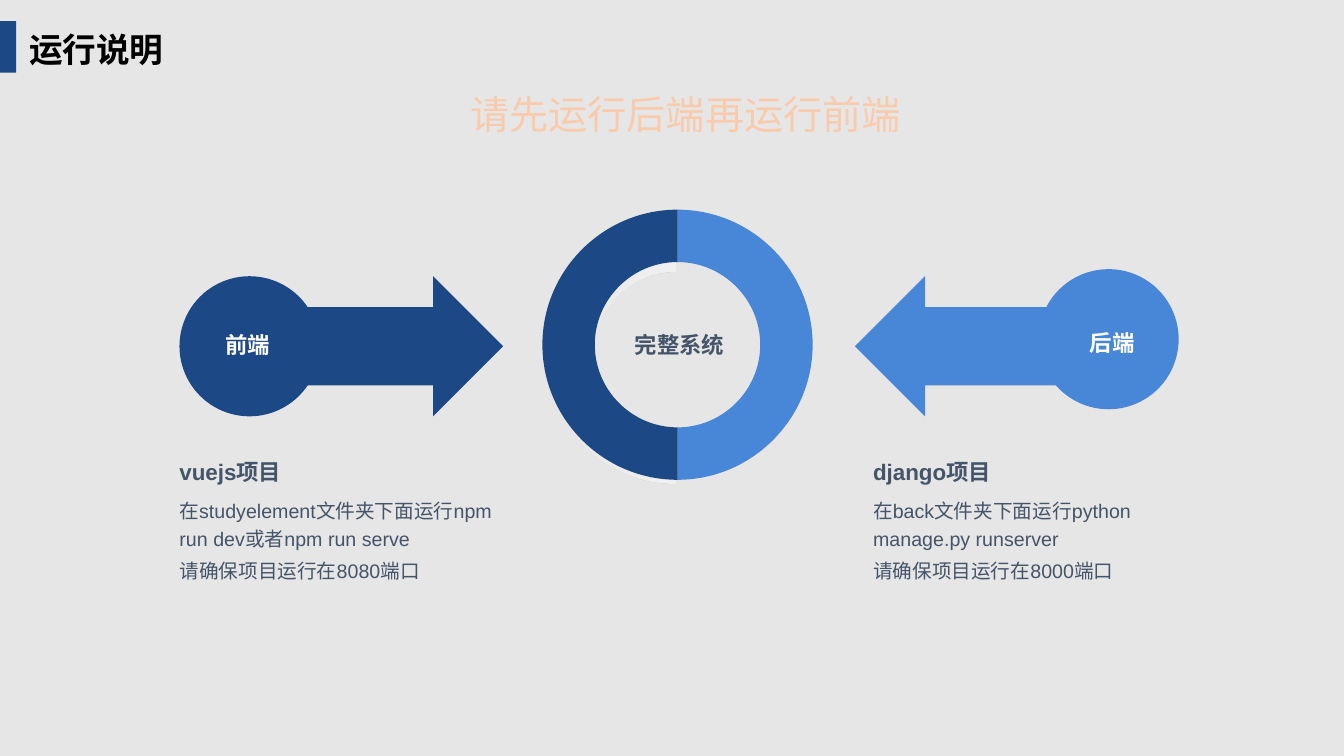
"""Build the slide that explains how to run the front end and the back end."""
from lxml.etree import SubElement
from pptx import Presentation
from pptx.dml.color import RGBColor
from pptx.enum.shapes import MSO_SHAPE as Preset
from pptx.enum.text import PP_ALIGN as Align
from pptx.oxml.ns import qn
from pptx.util import Inches, Pt

COLORS = {"background": "E7E6E6", "dark": "1C4885", "light": "4886D8", "peach": "F8CBAD",
          "slate": "445469", "white": "FFFFFF", "black": "000000"}
CJK, LATIN = "Noto Sans CJK SC", "Arial"
TITLE = "运行说明"
NOTICE = "请先运行后端再运行前端"
CENTER_LABEL = "完整系统"
PARTS = [
    {"label": "前端", "color": "dark", "text_left": 1.78, "label_at": (1.71, 3.29),
     "circle": (1.78, 2.74), "arrow": (3.04, 1.95), "flip": False,
     "heading": "vuejs项目",
     "steps": ["在studyelement文件夹下面运行npm run dev或者npm run serve", "请确保项目运行在8080端口"]},
    {"label": "后端", "color": "light", "text_left": 8.66, "label_at": (10.28, 3.27),
     "circle": (10.3, 2.67), "arrow": (8.48, 2.07), "flip": True,
     "heading": "django项目",
     "steps": ["在back文件夹下面运行python manage.py runserver", "请确保项目运行在8000端口"]},
]
RING_CENTER, RING_RADII = (6.72, 3.42), (1.34, 0.82)
GLOW_CENTER, GLOW_RADII = (6.7, 3.5), (1.3, 0.8)
GLOW_STOPS = [(0, 0), (50, 22), (100, 45)]
DIAMETER = 1.39
BEND = 0.55
HALF_ARC = [(0, -1), (BEND, -1), (1, -BEND), (1, 0), (1, BEND), (BEND, 1), (0, 1)]
CURVE_STARTS = (0, 3, 7, 10)


def paint(shape, color):
    shape.shadow.inherit = False
    shape.fill.solid()
    shape.fill.fore_color.rgb = RGBColor.from_string(COLORS[color])
    shape.line.fill.background()


def add_preset(slide, preset, box, color):
    shape = slide.shapes.add_shape(preset, *map(Inches, box))
    paint(shape, color)
    return shape


def add_text(slide, box, lines, size, color, font=LATIN, bold=False, align=Align.LEFT,
             inset=(0, 0), spacing=None):
    frame = slide.shapes.add_textbox(*map(Inches, box)).text_frame
    frame.word_wrap = True
    frame.margin_left = frame.margin_right = Inches(inset[0])
    frame.margin_top = frame.margin_bottom = Inches(inset[1])
    frame.text = "\n".join(lines)
    for index, paragraph in enumerate(frame.paragraphs):
        paragraph.alignment = align
        paragraph.line_spacing = spacing
        if index:
            paragraph.space_before = Pt(size * 0.2)
        for run in paragraph.runs:
            run.font.size, run.font.bold, run.font.name = Pt(size), bold, font
            run.font.color.rgb = RGBColor.from_string(COLORS[color])
            SubElement(run.font._element, qn("a:ea")).set("typeface", font)


def add_half_ring(slide, center, radii, side, color):
    outer, inner = ([(Inches(center[0] + side * radius * x), Inches(center[1] + radius * y))
                     for x, y in HALF_ARC] for radius in radii)
    points = outer + inner[::-1]
    builder = slide.shapes.build_freeform(*points[0])
    builder.add_line_segments(points[1:], close=True)
    shape = builder.convert_to_shape()
    segments = list(shape._element.iter(qn("a:lnTo")))
    for start in CURVE_STARTS:
        group = segments[start:start + 3]
        curve = group[0].makeelement(qn("a:cubicBezTo"), {})
        group[0].addprevious(curve)
        for segment in group:
            curve.append(segment[0])
            segment.getparent().remove(segment)
    paint(shape, color)
    return shape


def fade(shape, stops):
    properties = shape._element.spPr
    solid = properties.find(qn("a:solidFill"))
    gradient = properties.makeelement(qn("a:gradFill"), {"rotWithShape": "1"})
    stop_list = SubElement(gradient, qn("a:gsLst"))
    for position, opacity in stops:
        stop = SubElement(stop_list, qn("a:gs"), pos=str(position * 1000))
        color = SubElement(stop, qn("a:srgbClr"), val=COLORS["white"])
        SubElement(color, qn("a:alpha"), val=str(opacity * 1000))
    SubElement(gradient, qn("a:lin"), ang="0", scaled="0")
    properties.replace(solid, gradient)


def add_part(slide, part):
    left, width = part["arrow"]
    arrow = add_preset(slide, Preset.RIGHT_ARROW, (left, 2.74, width, DIAMETER), part["color"])
    arrow.adjustments[0], arrow.adjustments[1] = 0.56, 0.5
    if part["flip"]:
        arrow._element.spPr.xfrm.set("flipH", "1")
    add_preset(slide, Preset.OVAL, (*part["circle"], DIAMETER, DIAMETER), part["color"])
    add_text(slide, (part["text_left"], 4.9, 3.29, 0.89), part["steps"], 14, "slate", spacing=1.2)
    add_text(slide, (part["text_left"], 4.55, 2.14, 0.27), [part["heading"]], 16, "slate", bold=True)
    add_text(slide, (*part["label_at"], 1.5, 0.27), [part["label"]], 16, "white",
             bold=True, align=Align.CENTER)


def main():
    presentation = Presentation()
    presentation.slide_width, presentation.slide_height = Inches(13.33), Inches(7.5)
    slide = presentation.slides.add_slide(presentation.slide_layouts[6])
    slide.background.fill.solid()
    slide.background.fill.fore_color.rgb = RGBColor.from_string(COLORS["background"])

    add_text(slide, (0.19, 0.24, 2.89, 0.5), [TITLE], 24, "black", CJK, True, inset=(0.1, 0.05))
    add_preset(slide, Preset.RECTANGLE, (0, 0.21, 0.16, 0.51), "dark")
    add_text(slide, (4.5, 0.85, 4.6, 0.57), [NOTICE], 28, "peach", CJK,
             align=Align.CENTER, inset=(0.1, 0.05))
    for part in PARTS:
        add_part(slide, part)
    fade(add_half_ring(slide, GLOW_CENTER, GLOW_RADII, -1, "white"), GLOW_STOPS)
    for side, color in ((1, "light"), (-1, "dark")):
        add_half_ring(slide, RING_CENTER, RING_RADII, side, color)
    add_text(slide, (5.99, 3.29, 1.5, 0.27), [CENTER_LABEL], 16, "slate",
             bold=True, align=Align.CENTER)
    presentation.save("out.pptx")


if __name__ == "__main__":
    main()
